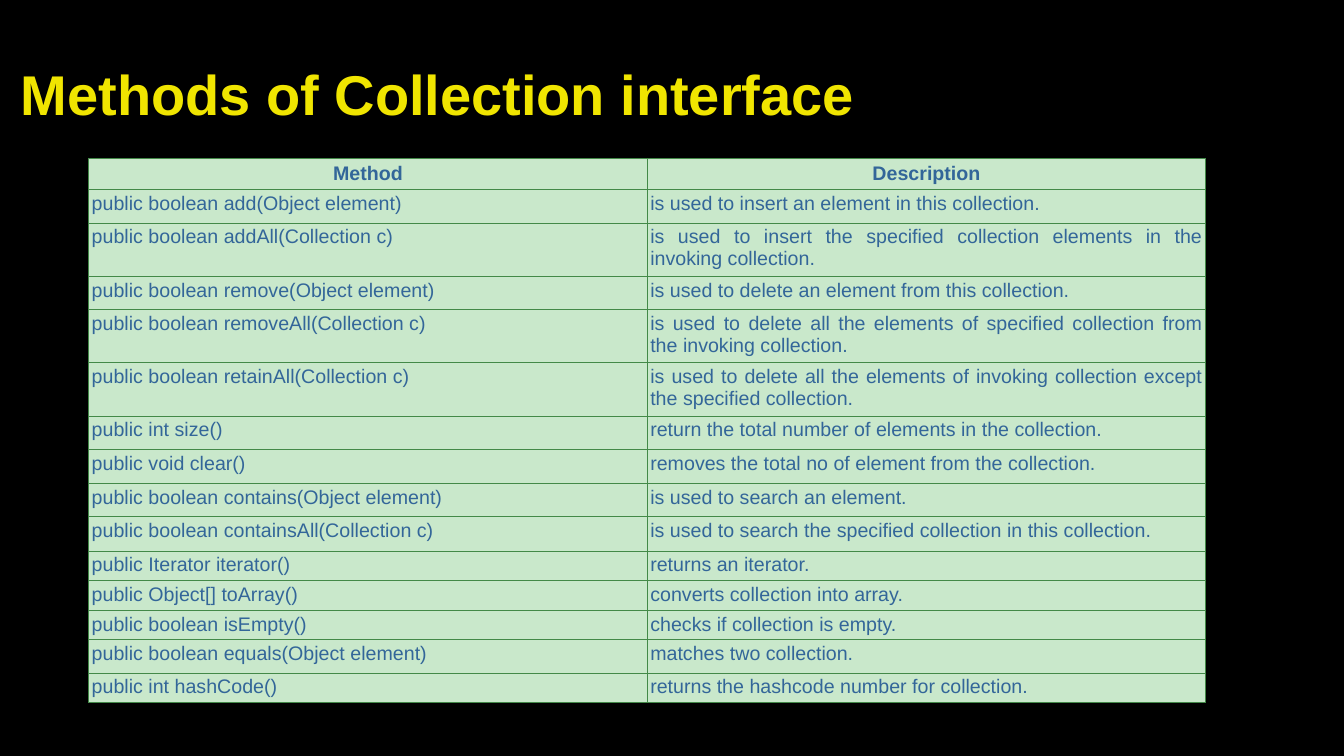
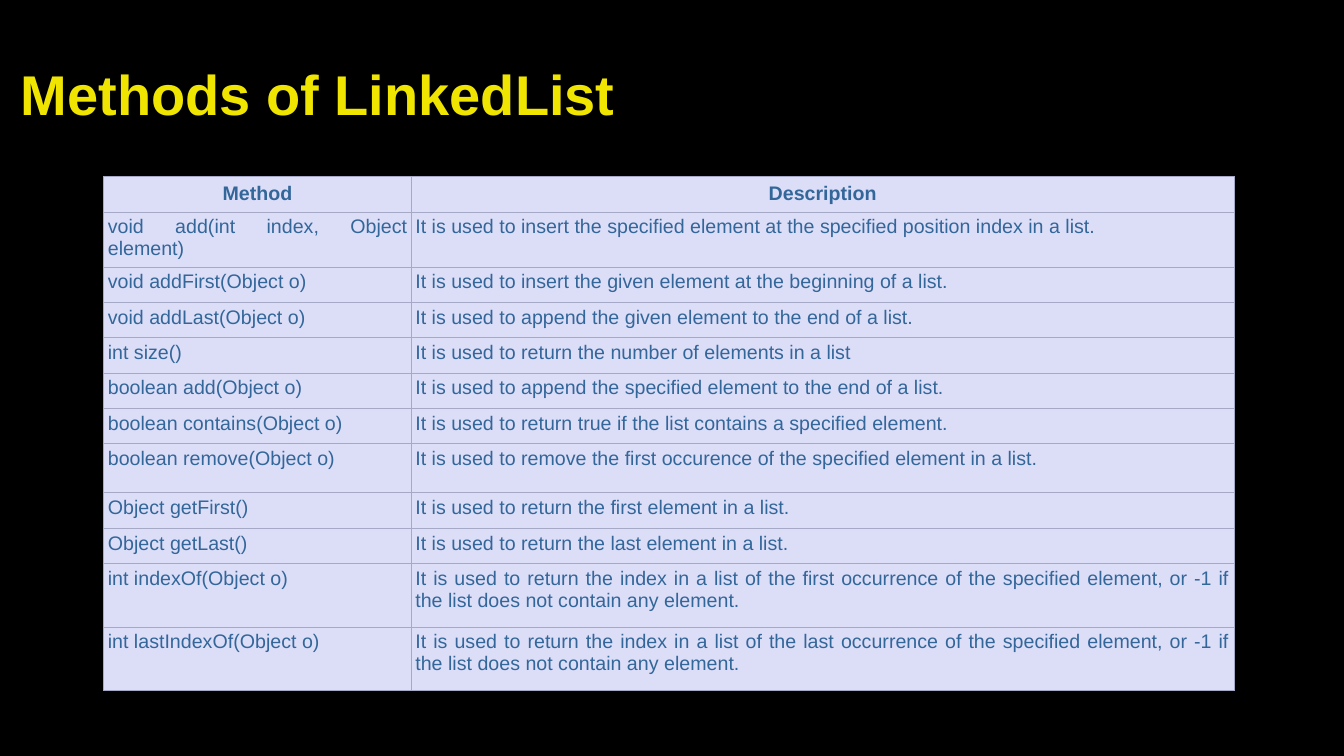
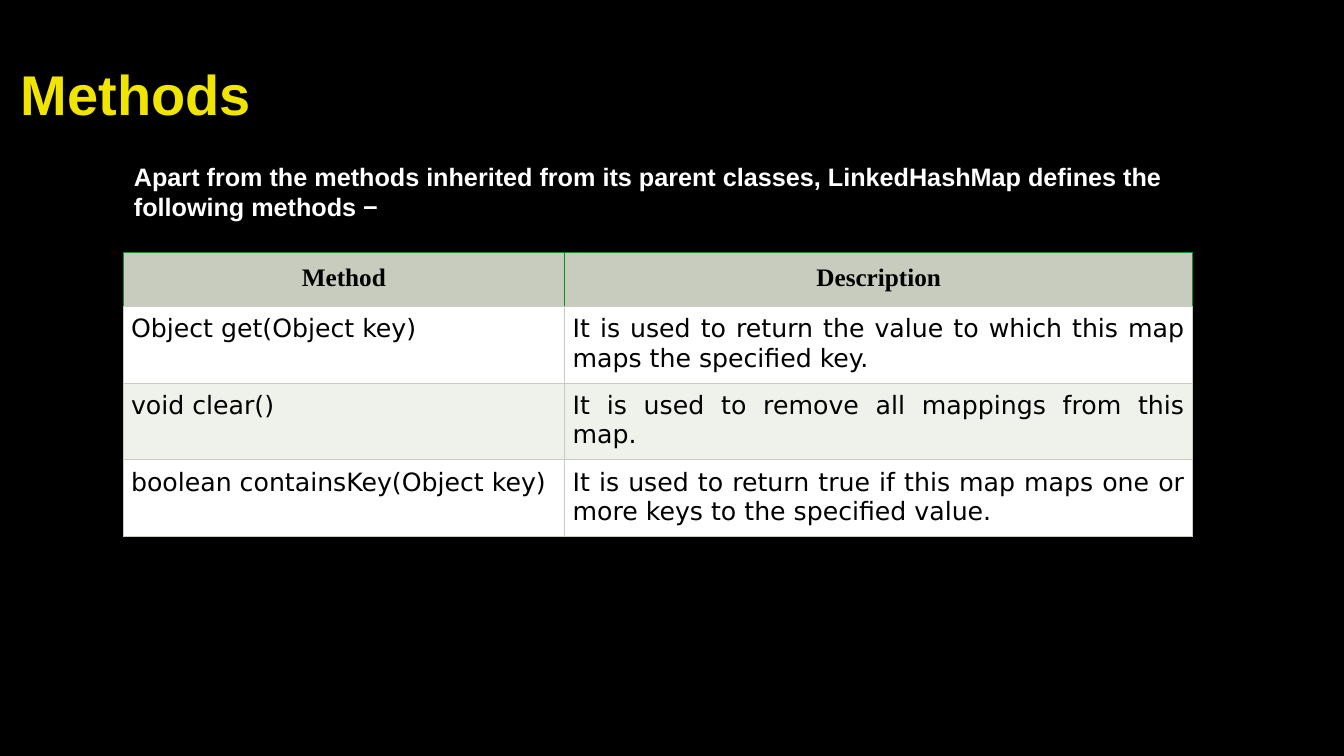
from dataclasses import dataclass

from lxml import etree
from pptx import Presentation
from pptx.dml.color import RGBColor
from pptx.enum import text as t
from pptx.oxml.ns import qn
from pptx.util import Inches, Pt


@dataclass(frozen=True)
class Theme:
    background: str = "000000"
    title: str = "F0E500"
    intro: str = "FFFFFF"
    font: str = "Arial"
    title_size: int = 40
    intro_size: int = 18
    border_width: float = 0.75


@dataclass(frozen=True)
class TableStyle:
    size: int
    color: str
    header_font: str
    body_font: str
    header_margin: float
    body_margin: float
    header_fill: str
    body_fills: tuple
    border: str
    header_border: str


THEME = Theme()
GREEN = TableStyle(14, "336699", "Arial", "Arial", 0.04, 0.03,
                   "C9E8CB", ("C9E8CB",), "438948", "438948")
LAVENDER = TableStyle(14, "336699", "Arial", "Arial", 0.06, 0.04,
                      "DCDEF8", ("DCDEF8",), "A5A9C6", "A5A9C6")
STRIPED = TableStyle(18, "000000", "Times New Roman", "DejaVu Sans", 0.12, 0.08,
                     "C7CCBE", ("FFFFFF", "EFF1EB"), "C7CCBE", "108C2D")

HEADER = ("Method", "Description")

COLLECTION_METHODS = [
    ("public boolean add(Object element)", "is used to insert an element in this collection."),
    ("public boolean addAll(Collection c)",
     "is used to insert the specified collection elements in the invoking collection."),
    ("public boolean remove(Object element)", "is used to delete an element from this collection."),
    ("public boolean removeAll(Collection c)",
     "is used to delete all the elements of specified collection from the invoking collection."),
    ("public boolean retainAll(Collection c)",
     "is used to delete all the elements of invoking collection except the specified collection."),
    ("public int size()", "return the total number of elements in the collection."),
    ("public void clear()", "removes the total no of element from the collection."),
    ("public boolean contains(Object element)", "is used to search an element."),
    ("public boolean containsAll(Collection c)",
     "is used to search the specified collection in this collection."),
    ("public Iterator iterator()", "returns an iterator."),
    ("public Object[] toArray()", "converts collection into array."),
    ("public boolean isEmpty()", "checks if collection is empty."),
    ("public boolean equals(Object element)", "matches two collection."),
    ("public int hashCode()", "returns the hashcode number for collection."),
]

LINKED_LIST_METHODS = [
    ("void add(int index, Object element)",
     "It is used to insert the specified element at the specified position index in a list."),
    ("void addFirst(Object o)", "It is used to insert the given element at the beginning of a list."),
    ("void addLast(Object o)", "It is used to append the given element to the end of a list."),
    ("int size()", "It is used to return the number of elements in a list"),
    ("boolean add(Object o)", "It is used to append the specified element to the end of a list."),
    ("boolean contains(Object o)",
     "It is used to return true if the list contains a specified element."),
    ("boolean remove(Object o)",
     "It is used to remove the first occurence of the specified element in a list."),
    ("Object getFirst()", "It is used to return the first element in a list."),
    ("Object getLast()", "It is used to return the last element in a list."),
    ("int indexOf(Object o)",
     "It is used to return the index in a list of the first occurrence of the specified element, "
     "or -1 if the list does not contain any element."),
    ("int lastIndexOf(Object o)",
     "It is used to return the index in a list of the last occurrence of the specified element, "
     "or -1 if the list does not contain any element."),
]

MAP_METHODS = [
    ("Object get(Object key)",
     "It is used to return the value to which this map maps the specified key."),
    ("void clear()", "It is used to remove all mappings from this map."),
    ("boolean containsKey(Object key)",
     "It is used to return true if this map maps one or more keys to the specified value."),
]


def write(frame, words, *, size, color, font=THEME.font, bold=False, align=t.PP_ALIGN.LEFT):
    frame.word_wrap = True
    paragraph = frame.paragraphs[0]
    paragraph.alignment = align
    run = paragraph.add_run()
    run.text = words
    run.font.size = Pt(size)
    run.font.name = font
    run.font.bold = bold
    run.font.color.rgb = RGBColor.from_string(color)


def add_text(slide, box, words, *, anchor=t.MSO_ANCHOR.TOP, **style):
    frame = slide.shapes.add_textbox(*map(Inches, box)).text_frame
    frame.vertical_anchor = anchor
    write(frame, words, **style)


def set_borders(cell, colors):
    properties = cell._tc.get_or_add_tcPr()
    for position, (side, color) in enumerate(colors.items()):
        line = etree.Element(qn(f"a:ln{side}"), w=str(Pt(THEME.border_width)))
        fill = etree.SubElement(line, qn("a:solidFill"))
        etree.SubElement(fill, qn("a:srgbClr"), val=color)
        properties.insert(position, line)


def format_cell(cell, words, row, style):
    is_header = row == 0
    margin = Inches(style.header_margin if is_header else style.body_margin)
    cell.margin_left = cell.margin_right = cell.margin_top = cell.margin_bottom = margin
    fill = style.header_fill if is_header else style.body_fills[(row - 1) % len(style.body_fills)]
    cell.fill.solid()
    cell.fill.fore_color.rgb = RGBColor.from_string(fill)
    borders = dict.fromkeys("LRTB", style.header_border if is_header else style.border)
    borders["B"] = style.border
    set_borders(cell, borders)
    write(cell.text_frame, words, size=style.size, color=style.color, bold=is_header,
          font=style.header_font if is_header else style.body_font,
          align=t.PP_ALIGN.CENTER if is_header else t.PP_ALIGN.JUSTIFY)


def add_method_table(slide, origin, widths, heights, methods, style):
    entries = [HEADER, *methods]
    box = (*origin, sum(widths), sum(heights))
    table = slide.shapes.add_table(len(entries), len(HEADER), *map(Inches, box)).table
    table.horz_banding = False
    for column, width in zip(table.columns, widths):
        column.width = Inches(width)
    for row, (entry, height) in enumerate(zip(entries, heights)):
        table.rows[row].height = Inches(height)
        for column, words in enumerate(entry):
            format_cell(table.cell(row, column), words, row, style)


def add_titled_slide(deck, title):
    slide = deck.slides.add_slide(deck.slide_layouts[6])
    add_text(slide, (0.11, 0.3, 12, 1.25), title, anchor=t.MSO_ANCHOR.MIDDLE,
             size=THEME.title_size, color=THEME.title, bold=True)
    return slide


def main():
    deck = Presentation()
    deck.slide_width, deck.slide_height = Inches(13.33), Inches(7.5)
    backdrop = deck.slide_master.background.fill
    backdrop.solid()
    backdrop.fore_color.rgb = RGBColor.from_string(THEME.background)

    collection = add_titled_slide(deck, "Methods of Collection interface")
    add_method_table(collection, (0.88, 1.57), (5.54, 5.54),
                     (0.3, 0.33, 0.5, 0.33, 0.52, 0.53, 0.33, 0.34, 0.33, 0.34,
                      0.27, 0.27, 0.27, 0.33, 0.27),
                     COLLECTION_METHODS, GREEN)

    linked_list = add_titled_slide(deck, "Methods of LinkedList")
    add_method_table(linked_list, (1.03, 1.75), (3.05, 8.16),
                     (0.34, 0.51, *[0.35] * 5, 0.49, 0.35, 0.35, 0.63, 0.63),
                     LINKED_LIST_METHODS, LAVENDER)

    linked_map = add_titled_slide(deck, "Methods")
    add_method_table(linked_map, (1.22, 2.5), (4.38, 6.23), (0.52, *[0.75] * 3),
                     MAP_METHODS, STRIPED)
    add_text(linked_map, (1.23, 1.55, 10.66, 0.71),
             "Apart from the methods inherited from its parent classes, "
             "LinkedHashMap defines the following methods −",
             size=THEME.intro_size, color=THEME.intro, bold=True)

    deck.save("out.pptx")


if __name__ == "__main__":
    main()
